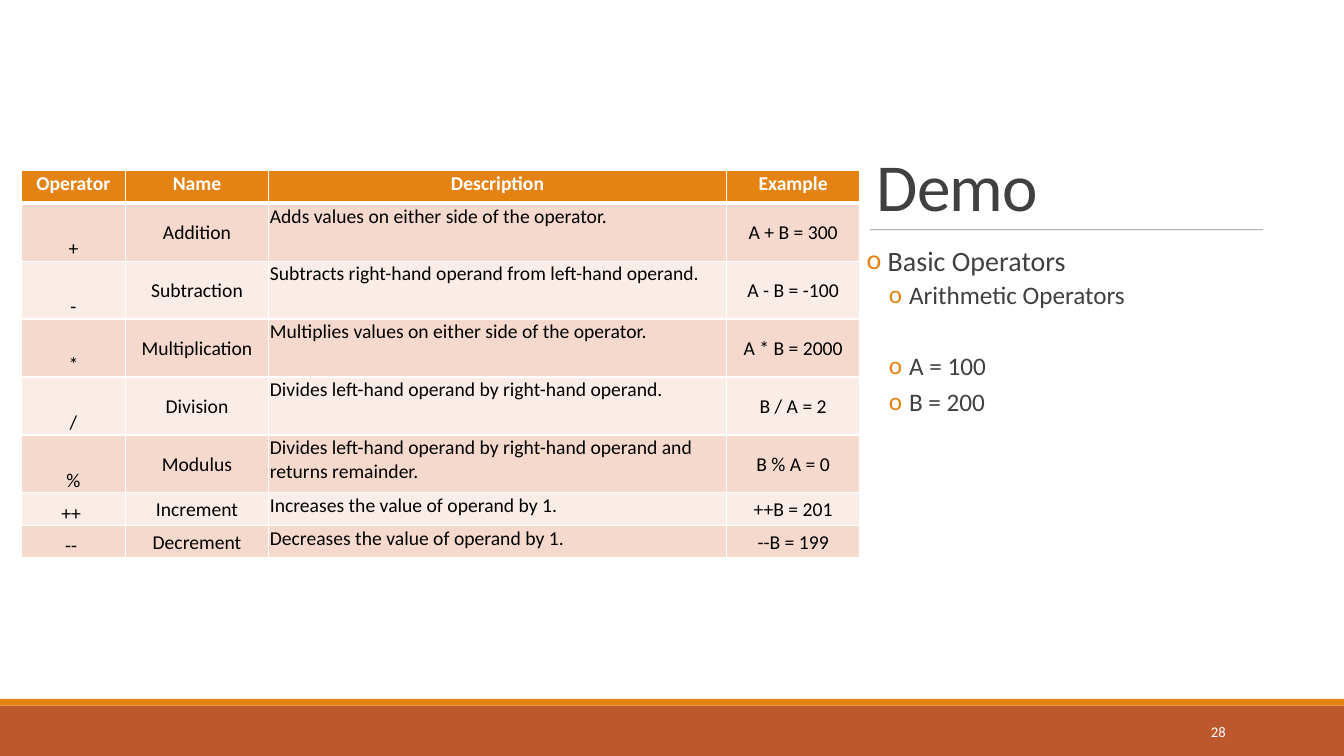
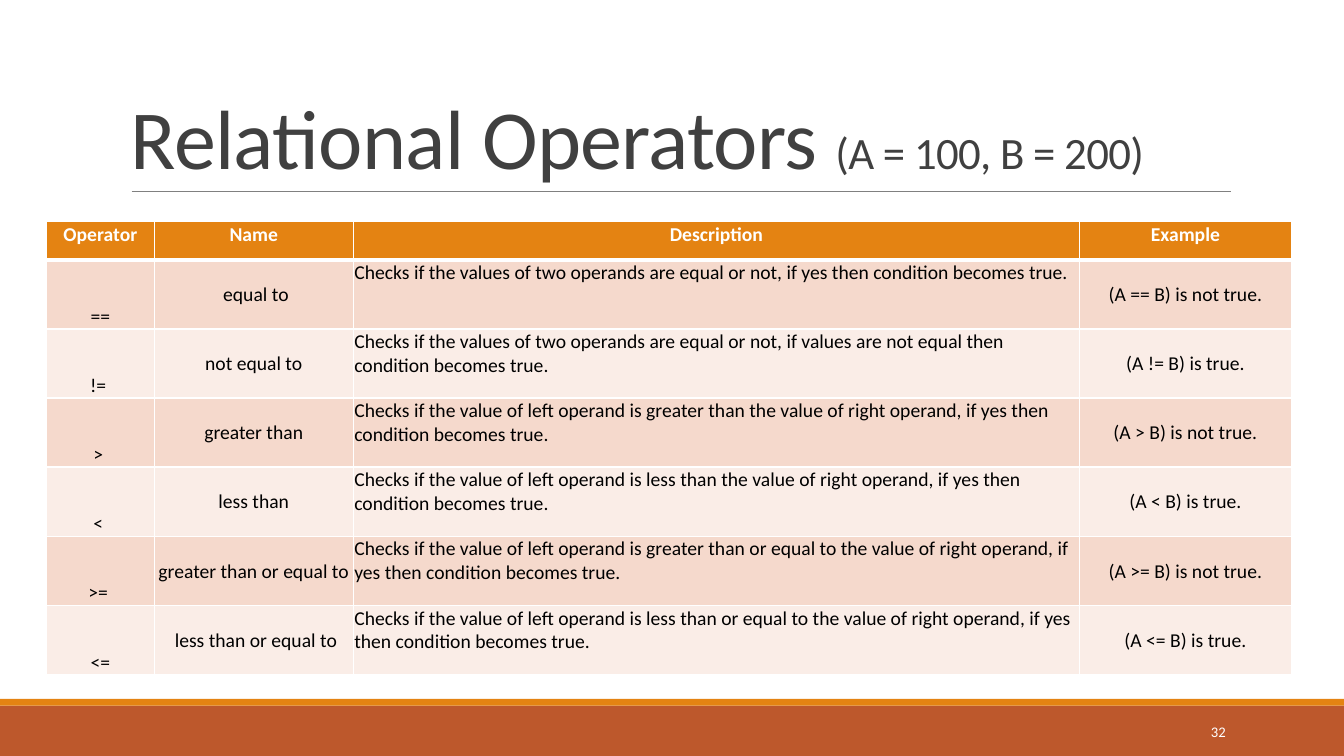
from lxml import etree
from pptx import Presentation
from pptx.dml.color import RGBColor
from pptx.enum.shapes import MSO_CONNECTOR, MSO_SHAPE
from pptx.enum.text import MSO_ANCHOR, PP_ALIGN
from pptx.oxml.ns import qn
from pptx.util import Cm, Pt

# Content
HEADINGS = ("Operator", "Name", "Description", "Example")
DEMO_TITLE = [("Demo", 48)]
ARITHMETIC_ROWS = [
    ("+", "Addition", "Adds values on either side of the operator.", "A + B = 300"),
    ("-", "Subtraction", "Subtracts right-hand operand from left-hand operand.", "A - B = -100"),
    ("*", "Multiplication", "Multiplies values on either side of the operator.", "A * B = 2000"),
    ("/", "Division", "Divides left-hand operand by right-hand operand.", "B / A = 2"),
    ("%", "Modulus", "Divides left-hand operand by right-hand operand and returns remainder.",
     "B % A = 0"),
    ("++ ", "Increment", "Increases the value of operand by 1.", "++B = 201"),
    ("-- ", "Decrement", "Decreases the value of operand by 1.", "--B = 199"),
]
# text, level, space before in points
DEMO_POINTS = [
    (" Basic Operators", 0, 12),
    ("Arithmetic Operators", 1, 2),
    ("A = 100", 1, 27.5),
    ("B = 200", 1, 2),
]
RELATIONAL_TITLE = [("Relational Operators ", 60), ("(A = 100, B = 200)", 32)]
RELATIONAL_ROWS = [
    ("==", " equal to",
     "Checks if the values of two operands are equal or not, if yes then condition becomes true.",
     "(A == B) is not true."),
    ("!= ", "not equal to",
     "Checks if the values of two operands are equal or not, if values are not equal then "
     "condition becomes true.", "(A != B) is true."),
    ("> ", "greater than",
     "Checks if the value of left operand is greater than the value of right operand, "
     "if yes then condition becomes true.", "(A > B) is not true."),
    ("< ", "less than",
     "Checks if the value of left operand is less than the value of right operand, "
     "if yes then condition becomes true.", "(A < B) is true."),
    (">= ", "greater than or equal to",
     "Checks if the value of left operand is greater than or equal to the value of right "
     "operand, if yes then condition becomes true.", "(A >= B) is not true."),
    ("<=", " less than or equal to",
     "Checks if the value of left operand is less than or equal to the value of right "
     "operand, if yes then condition becomes true.", "(A <= B) is true."),
]

# Style
FONT = "Calibri"
ORANGE = RGBColor(0xE4, 0x83, 0x12)
RUST = RGBColor(0xBD, 0x58, 0x2C)
DARK = RGBColor(0x40, 0x40, 0x40)
GREY = RGBColor(0x80, 0x80, 0x80)
BLACK = RGBColor(0, 0, 0)
WHITE = RGBColor(0xFF, 0xFF, 0xFF)
ROW_TINTS = (RGBColor(0xF5, 0xD9, 0xCC), RGBColor(0xFA, 0xED, 0xE7))
TOP, MIDDLE, BOTTOM = MSO_ANCHOR.TOP, MSO_ANCHOR.MIDDLE, MSO_ANCHOR.BOTTOM
LEFT, CENTER, RIGHT = PP_ALIGN.LEFT, PP_ALIGN.CENTER, PP_ALIGN.RIGHT
COLUMN_ANCHORS = (BOTTOM, MIDDLE, TOP, MIDDLE)
COLUMN_ALIGNMENTS = (CENTER, CENTER, LEFT, CENTER)
# font size, left margin, hanging indent, space after, by level
POINT_LEVELS = ((20, 0.25, 0.25, 2), (18, 1.07, 0.51, 4))
SLIDE_WIDTH, SLIDE_HEIGHT = 33.87, 19.05
FOOTER_TOP, STRIPE_HEIGHT = 17.78, 0.17


def write_text(paragraph, text, size=14, color=BLACK, bold=False, align=LEFT,
               line_spacing=None, before=0, after=0, tracking=0):
    """Add one formatted run to a paragraph."""
    paragraph.alignment = align
    paragraph.space_before, paragraph.space_after = Pt(before), Pt(after)
    if line_spacing:
        paragraph.line_spacing = line_spacing
    run = paragraph.add_run()
    run.text = text
    font = run.font
    font.name, font.size, font.bold = FONT, Pt(size), bold
    font.color.rgb = color
    if tracking:
        font._element.set("spc", str(int(tracking * 100)))


def add_frame(slide, left, top, width, height, anchor=TOP):
    """Add a wrapping text box and return its text frame."""
    box = slide.shapes.add_textbox(Cm(left), Cm(top), Cm(width), Cm(height))
    frame = box.text_frame
    frame.word_wrap, frame.vertical_anchor = True, anchor
    return frame


def add_band(slide, top, height, color):
    """Add a plain band across the slide."""
    band = slide.shapes.add_shape(MSO_SHAPE.RECTANGLE, 0, Cm(top), Cm(SLIDE_WIDTH), Cm(height))
    band.shadow.inherit = False
    band.fill.solid()
    band.fill.fore_color.rgb = color
    band.line.fill.background()


def add_rule(slide, left, right, top, opacity=100):
    """Add the thin line below a title."""
    rule = slide.shapes.add_connector(MSO_CONNECTOR.STRAIGHT, Cm(left), Cm(top), Cm(right), Cm(top))
    rule.line.color.rgb, rule.line.width = GREY, Pt(0.5)
    properties = rule._element.spPr
    etree.SubElement(properties, qn("a:effectLst"))
    if opacity < 100:
        color = properties.find(".//" + qn("a:srgbClr"))
        etree.SubElement(color, qn("a:alpha"), val=str(opacity * 1000))


def add_base(presentation, number):
    """Add a blank slide with footer bands and a slide number."""
    slide = presentation.slides.add_slide(presentation.slide_layouts[6])
    add_band(slide, FOOTER_TOP, SLIDE_HEIGHT - FOOTER_TOP, RUST)
    add_band(slide, FOOTER_TOP - STRIPE_HEIGHT, STRIPE_HEIGHT, ORANGE)
    frame = add_frame(slide, 27.51, 17.93, 3.63, 1.02, MIDDLE)
    write_text(frame.paragraphs[0], str(number), size=10.5, color=WHITE, align=RIGHT, after=6)
    return slide


def add_title(slide, parts, left, top, width):
    """Add a title made of text and size pairs."""
    paragraph = add_frame(slide, left, top, width, 4.04, BOTTOM).paragraphs[0]
    for text, size in parts:
        write_text(paragraph, text, size=size, color=DARK, line_spacing=0.85, tracking=-0.5)


def add_points(slide, points, left, top, width, height):
    """Add the bulleted list."""
    frame = add_frame(slide, left, top, width, height)
    frame.margin_left = frame.margin_right = 0
    for index, (text, level, before) in enumerate(points):
        paragraph = frame.add_paragraph() if index else frame.paragraphs[0]
        size, margin, hanging, after = POINT_LEVELS[level]
        paragraph.level = level
        write_text(paragraph, text, size=size, color=DARK, line_spacing=0.9,
                   before=before, after=after)
        properties = paragraph._p.get_or_add_pPr()
        properties.set("marL", str(Cm(margin)))
        properties.set("indent", str(-Cm(hanging)))
        bullet_color = etree.SubElement(properties, qn("a:buClr"))
        etree.SubElement(bullet_color, qn("a:srgbClr"), val=str(ORANGE))
        etree.SubElement(properties, qn("a:buFont"), typeface=FONT)
        etree.SubElement(properties, qn("a:buChar"), char="o")


def add_borders(cell, sides):
    """Draw white cell borders; sides maps tag to width in points."""
    properties = cell._tc.get_or_add_tcPr()
    for side, width in sides.items():
        line = etree.SubElement(properties, qn("a:" + side), w=str(Pt(width)))
        fill = etree.SubElement(line, qn("a:solidFill"))
        etree.SubElement(fill, qn("a:srgbClr"), val=str(WHITE))


def add_operator_table(slide, rows, left, top, widths, heights):
    """Add a table of operators below the shared headings."""
    shape = slide.shapes.add_table(len(heights), len(widths), Cm(left), Cm(top),
                                   Cm(sum(widths)), Cm(sum(heights)))
    table = shape.table
    for column, width in zip(table.columns, widths):
        column.width = Cm(width)
    for row, height in zip(table.rows, heights):
        row.height = Cm(height)
    for row_index, texts in enumerate([HEADINGS] + rows):
        header = row_index == 0
        for column_index, text in enumerate(texts):
            cell = table.cell(row_index, column_index)
            cell.margin_left = cell.margin_right = cell.margin_top = Cm(0.03)
            cell.margin_bottom = 0
            cell.vertical_anchor = TOP if header else COLUMN_ANCHORS[column_index]
            add_borders(cell, {"lnL": 1, "lnR": 1, "lnT": 3 if row_index == 1 else 1,
                               "lnB": 3 if header else 1})
            cell.fill.solid()
            cell.fill.fore_color.rgb = ORANGE if header else ROW_TINTS[(row_index - 1) % 2]
            write_text(cell.text_frame.paragraphs[0], text, bold=header,
                       color=WHITE if header else BLACK,
                       align=CENTER if header else COLUMN_ALIGNMENTS[column_index])


def build_demo(presentation):
    """Build the arithmetic operators slide."""
    slide = add_base(presentation, 28)
    add_title(slide, DEMO_TITLE, 21.84, 1.75, 10.26)
    add_rule(slide, 21.92, 31.83, 5.79, opacity=90)
    add_points(slide, DEMO_POINTS, 21.84, 6.1, 10.26, 10.19)
    add_operator_table(slide, ARITHMETIC_ROWS, 0.54, 4.3, (2.62, 3.61, 11.54, 3.36),
                       [0.82] + [1.46] * 5 + [0.82] * 2)


def build_relational(presentation):
    """Build the relational operators slide."""
    slide = add_base(presentation, 32)
    add_rule(slide, 3.32, 31.01, 4.82)
    add_title(slide, RELATIONAL_TITLE, 3.05, 0.79, 27.94)
    add_operator_table(slide, RELATIONAL_ROWS, 1.17, 5.59, (2.72, 5.01, 18.31, 5.33),
                       [0.96] + [1.74] * 6)


def main():
    """Build and save the presentation."""
    presentation = Presentation()
    presentation.slide_width, presentation.slide_height = Cm(SLIDE_WIDTH), Cm(SLIDE_HEIGHT)
    build_demo(presentation)
    build_relational(presentation)
    presentation.save("out.pptx")


main()
